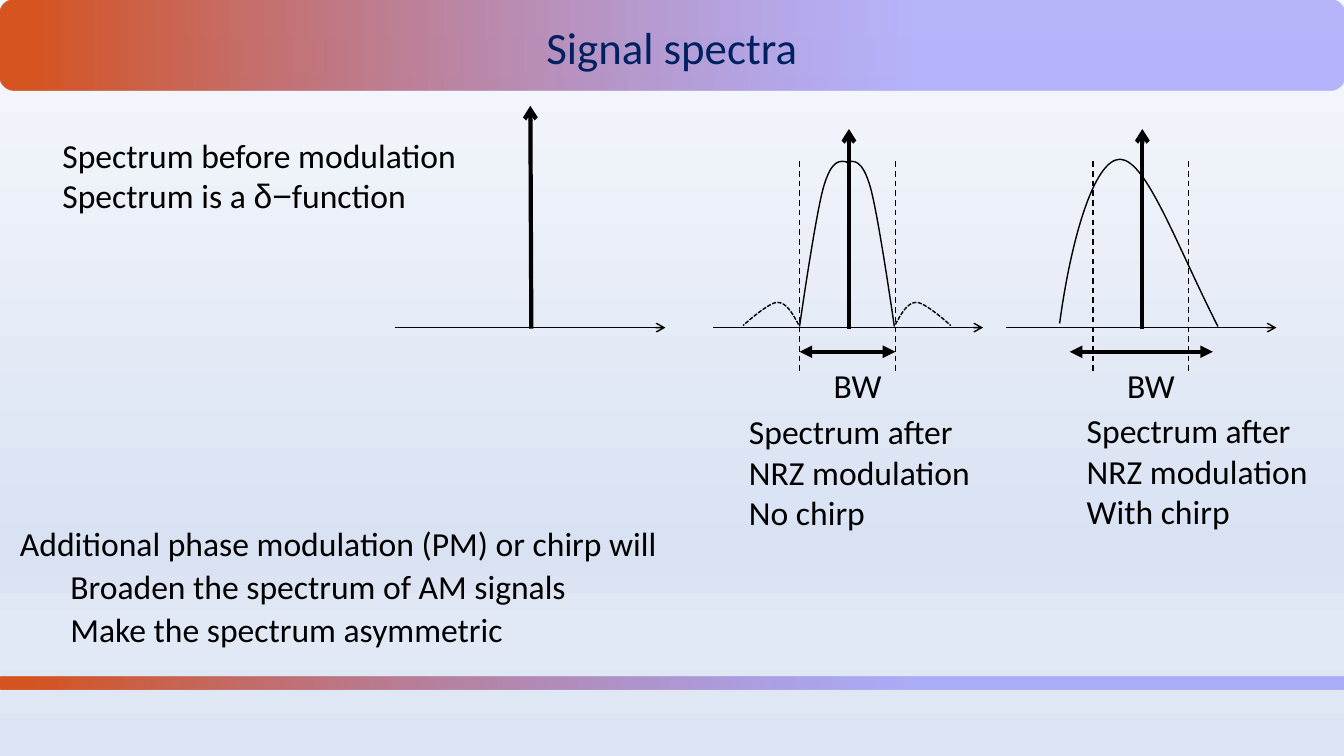
from dataclasses import dataclass

from lxml import etree
from pptx import Presentation
from pptx.dml.color import RGBColor
from pptx.enum.dml import MSO_LINE
from pptx.enum.shapes import MSO_CONNECTOR, MSO_SHAPE
from pptx.enum.text import MSO_AUTO_SIZE, PP_ALIGN
from pptx.oxml.ns import qn
from pptx.util import Inches, Pt

STRAIGHT = MSO_CONNECTOR.STRAIGHT
ROUNDED = MSO_SHAPE.ROUNDED_RECTANGLE
DASH, SHORT_DASH = MSO_LINE.DASH, MSO_LINE.SQUARE_DOT
CENTER = PP_ALIGN.CENTER
GROW = MSO_AUTO_SIZE.SHAPE_TO_FIT_TEXT


@dataclass(frozen=True)
class Theme:
    font: str = "Calibri"
    symbol_font: str = "Arial"
    ink: str = "000000"
    title: str = "002060"
    title_size: int = 32
    text_size: int = 24
    thin: int = 1
    thick: int = 3
    # Gradient stops: position %, colour, opacity %
    bar: tuple = ((2, "D65420", 100), (68, "7B75FB", 51))
    backdrop: tuple = ((0, "F6F8FC", 100), (74, "D9E2F3", 100),
                       (83, "E2E9F6", 100), (100, "DCE5F4", 47))


THEME = Theme()
SLIDE_W, SLIDE_H = 13.33, 7.5
BASELINE = 3.25
BAND_LEFT, BAND_RIGHT = -0.49, 0.46  # band limits relative to the carrier

# Bezier outlines: a start point, then three points per segment
MAIN_LOBE = [(8.39, 1.61), (8.47, 1.59), (8.55, 1.58), (8.63, 1.85),
             (8.71, 2.12), (8.87, 3.24), (8.87, 3.24)]
SIDE_LOBE = [(8.88, 3.22), (8.94, 3.11), (9, 3), (9.09, 3),
             (9.18, 3), (9.43, 3.23), (9.43, 3.23)]
CHIRPED_LOBE = [(10.51, 3.21), (10.62, 2.39), (10.85, 1.58), (11.11, 1.58),
                (11.37, 1.59), (11.66, 2.41), (12.08, 3.24)]
LOBE_CENTER = 8.4


def set_gradient(fill, element, stops, angle):
    fill.gradient()
    fill.gradient_angle = angle
    gs_list = element.find(".//" + qn("a:gsLst"))
    for gs in list(gs_list):
        gs_list.remove(gs)
    for pos, color, opacity in stops:
        gs = etree.SubElement(gs_list, qn("a:gs"), pos=str(pos * 1000))
        clr = etree.SubElement(gs, qn("a:srgbClr"), val=color)
        if opacity < 100:
            etree.SubElement(clr, qn("a:alpha"), val=str(opacity * 1000))


def add_bar(s, top, height):
    sp = s.shapes.add_shape(ROUNDED, 0, Inches(top), Inches(SLIDE_W), Inches(height))
    sp.shadow.inherit = False
    sp.line.fill.background()
    set_gradient(sp.fill, sp._element, THEME.bar, 0)


def add_text(s, box, rows, size=THEME.text_size, color=THEME.ink, wrap=False, formats=()):
    """Each row is a list of (text, font) runs; formats holds paragraph values by row."""
    tf = s.shapes.add_textbox(*map(Inches, box)).text_frame
    tf.word_wrap = wrap
    if not wrap:
        tf.auto_size = GROW
    for i, row in enumerate(rows):
        p = tf.paragraphs[0] if i == 0 else tf.add_paragraph()
        if formats:
            for name, value in formats[i].items():
                setattr(p, name, value)
            if p.level:
                p._p.get_or_add_pPr().set("marL", str(Inches(0.5)))
        for text, font in row:
            r = p.add_run()
            r.text = text
            for name, value in {"name": font, "size": Pt(size)}.items():
                setattr(r.font, name, value)
            r.font.color.rgb = RGBColor.from_string(color)


def plain(*lines):
    return [[(line, THEME.font)] for line in lines]


def style_line(line, width, dash=None):
    line.color.rgb = RGBColor.from_string(THEME.ink)
    line.width = Pt(width)
    if dash:
        line.dash_style = dash


def add_line(s, start, end, width=THEME.thin, dash=None, head=None, tail=None):
    cx = s.shapes.add_connector(STRAIGHT, *map(Inches, (*start, *end)))
    style_line(cx.line, width, dash)
    ln = cx._element.spPr.find(qn("a:ln"))
    for tag, kind in (("a:headEnd", head), ("a:tailEnd", tail)):
        if kind:
            etree.SubElement(ln, qn(tag), type=kind)
    etree.SubElement(cx._element.spPr, qn("a:effectLst"))


def add_curve(s, nodes, dash=None):
    points = [(Inches(x), Inches(y)) for x, y in nodes]
    builder = s.shapes.build_freeform(*points[0])
    builder.add_line_segments(points[1:], close=False)
    sp = builder.convert_to_shape()
    # Join every three straight segments into one cubic Bezier
    outline = sp._element.find(".//" + qn("a:path"))
    segments = outline.findall(qn("a:lnTo"))
    for i in range(0, len(segments), 3):
        cubic = etree.SubElement(outline, qn("a:cubicBezTo"))
        for segment in segments[i:i + 3]:
            cubic.append(segment[0])
            outline.remove(segment)
    sp.shadow.inherit = False
    sp.fill.background()
    style_line(sp.line, THEME.thin, dash)


def mirrored(nodes):
    return [(2 * LOBE_CENTER - x, y) for x, y in nodes]


def add_axes(s, carrier, top, lean=0):
    left = carrier - 1.35
    add_line(s, (left, BASELINE), (left + 2.68, BASELINE), tail="arrow")
    add_line(s, (carrier, BASELINE + 0.01), (carrier - lean, top), THEME.thick, tail="arrow")


def add_modulated(s, carrier, bw_left, bw_right, caption_box, last_line):
    add_axes(s, carrier, 1.28)
    for offset in (BAND_LEFT, BAND_RIGHT):
        add_line(s, (carrier + offset, 1.6), (carrier + offset, 3.72), dash=DASH)
    add_line(s, (bw_left, 3.49), (bw_right, 3.49), THEME.thick,
             head="triangle", tail="triangle")
    add_text(s, (carrier - 0.25, 3.57, 0.68, 0.5), plain("BW"))
    add_text(s, caption_box, plain("Spectrum after", "NRZ modulation", last_line))


def main():
    prs = Presentation()
    prs.slide_width, prs.slide_height = Inches(SLIDE_W), Inches(SLIDE_H)
    s = prs.slides.add_slide(prs.slide_layouts[6])
    set_gradient(s.background.fill, s._element, THEME.backdrop, 270)

    # Title and footer bars
    add_bar(s, 0, 0.9)
    add_text(s, (0, 0.21, SLIDE_W, 0.46), plain("Signal spectra"), THEME.title_size,
             THEME.title, True, [{"alignment": CENTER, "line_spacing": 0.9}])
    add_bar(s, 6.71, 0.13)

    # Effects of chirp
    effect = {"level": 1, "line_spacing": 0.9, "space_before": Pt(5)}
    add_text(s, (0.1, 5.18, 7.96, 1.53),
             plain("Additional phase modulation (PM) or chirp will",
                   "Broaden the spectrum of AM signals", "Make the spectrum asymmetric"),
             wrap=True, formats=[{"line_spacing": 0.9}, effect, effect])

    # Spectrum before modulation
    add_axes(s, 5.27, 1.05, lean=0.01)
    add_text(s, (0.52, 1.29, 4.14, 0.91),
             plain("Spectrum before modulation")
             + [[("Spectrum is a ", THEME.font), ("δ−", THEME.symbol_font),
                 ("function", THEME.font)]])

    # Spectrum without chirp
    add_modulated(s, 8.42, 7.93, 8.88, (7.33, 4.03, 2.41, 1.31), "No chirp")
    for nodes, dash in ((MAIN_LOBE, None), (SIDE_LOBE, SHORT_DASH)):
        add_curve(s, nodes, dash)
        add_curve(s, mirrored(nodes), dash)

    # Spectrum with chirp
    add_modulated(s, 11.33, 10.61, 12.03, (10.68, 4.02, 2.41, 1.31), "With chirp")
    add_curve(s, CHIRPED_LOBE)

    prs.save("out.pptx")


if __name__ == "__main__":
    main()
